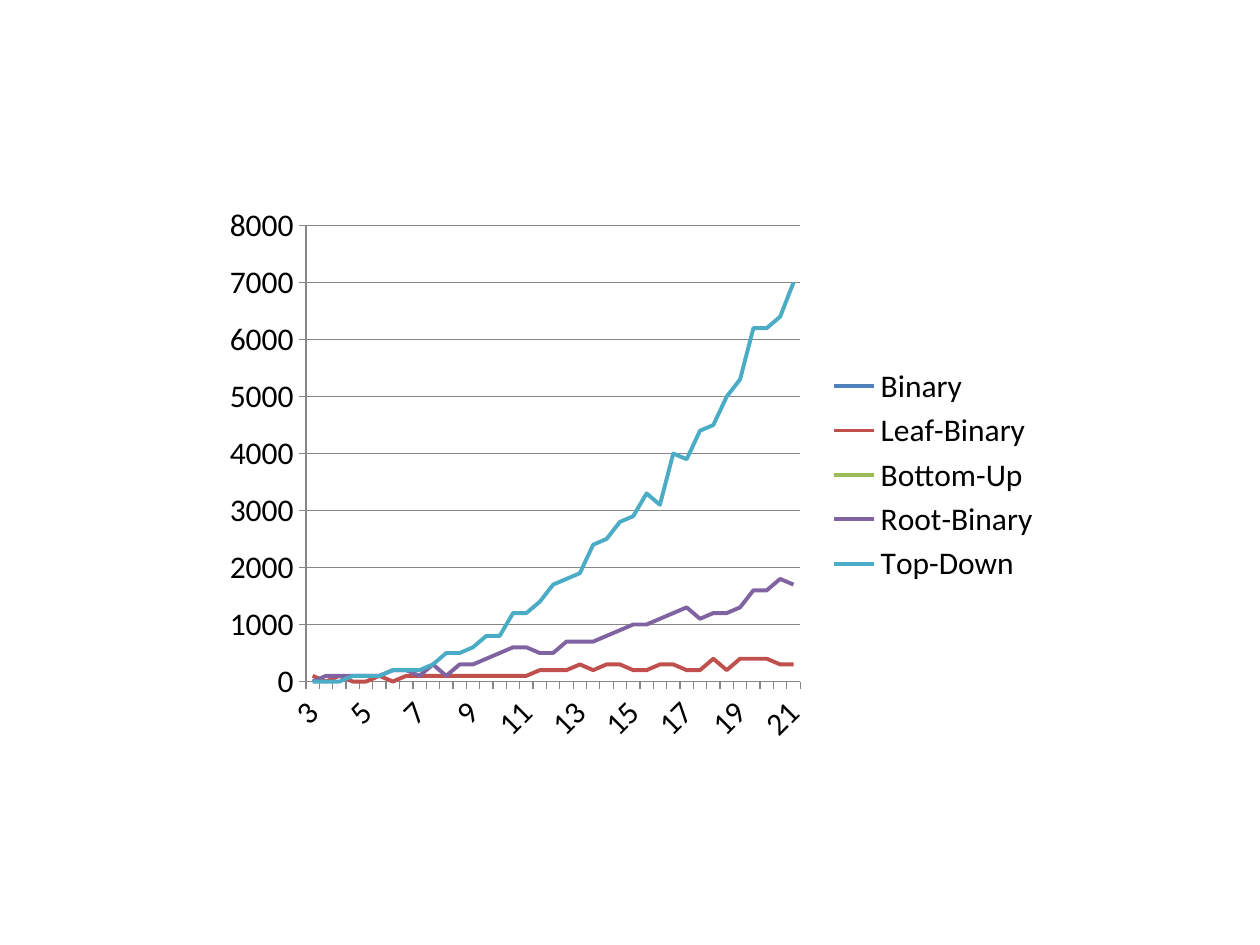
from pptx import Presentation
from pptx.chart.data import CategoryChartData
from pptx.dml.color import RGBColor
from pptx.enum.chart import XL_CHART_TYPE, XL_LEGEND_POSITION, XL_MARKER_STYLE, XL_TICK_MARK
from pptx.oxml import parse_xml
from pptx.oxml.ns import nsdecls
from pptx.util import Inches, Pt

LINE_CHART = XL_CHART_TYPE.LINE
LEGEND_RIGHT = XL_LEGEND_POSITION.RIGHT
NO_MARKER = XL_MARKER_STYLE.NONE
TICK_OUTSIDE = XL_TICK_MARK.OUTSIDE
TICK_NONE = XL_TICK_MARK.NONE

BLACK = RGBColor(0x00, 0x00, 0x00)
GRAY = RGBColor(0x87, 0x87, 0x87)
BLUE = RGBColor(0x4F, 0x81, 0xBD)
RED = RGBColor(0xC0, 0x50, 0x4D)
GREEN = RGBColor(0x9B, 0xBB, 0x59)
PURPLE = RGBColor(0x80, 0x64, 0xA2)
TEAL = RGBColor(0x4B, 0xAC, 0xC6)

CATEGORIES = [f"{half / 2:g}" for half in range(6, 43)]
LABEL_STEP = 4
SERIES = [
    ("Binary", BLUE, [0]),
    ("Leaf-Binary", RED, [
        100, 0, 100, 0, 0, 100, 0, 100, 100, 100, 100, 100, 100, 100, 100, 100, 100, 200, 200,
        200, 300, 200, 300, 300, 200, 200, 300, 300, 200, 200, 400, 200, 400, 400, 400, 300, 300]),
    ("Bottom-Up", GREEN, [0]),
    ("Root-Binary", PURPLE, [
        0, 100, 100, 100, 100, 100, 200, 200, 100, 300, 100, 300, 300, 400, 500, 600, 600, 500,
        500, 700, 700, 700, 800, 900, 1000, 1000, 1100, 1200, 1300, 1100, 1200, 1200, 1300, 1600,
        1600, 1800, 1700]),
    ("Top-Down", TEAL, [
        0, 0, 0, 100, 100, 100, 200, 200, 200, 300, 500, 500, 600, 800, 800, 1200, 1200, 1400,
        1700, 1800, 1900, 2400, 2500, 2800, 2900, 3300, 3100, 4000, 3900, 4400, 4500, 5000,
        5300, 6200, 6200, 6400, 7000]),
]


def style_line(line, color, width):
    line.color.rgb = color
    line.width = Pt(width)


def style_axes(chart):
    for axis in (chart.category_axis, chart.value_axis):
        axis.major_tick_mark = TICK_OUTSIDE
        axis.minor_tick_mark = TICK_NONE
        style_line(axis.format.line, GRAY, 0.75)
    value_axis = chart.value_axis
    value_axis.minimum_scale = 0
    value_axis.maximum_scale = 8000
    value_axis.major_unit = 1000
    value_axis.has_major_gridlines = True
    style_line(value_axis.major_gridlines.format.line, GRAY, 0.75)
    label_skip = parse_xml(f'<c:tickLblSkip {nsdecls("c")} val="{LABEL_STEP}"/>')
    chart.category_axis._element.find("{*}noMultiLvlLbl").addprevious(label_skip)
    chart.category_axis.tick_labels.font.size = Pt(18)
    chart.category_axis._element.find("{*}txPr/{*}bodyPr").set("rot", "-2700000")


def add_line_chart(page, left, top, width, height):
    data = CategoryChartData()
    data.categories = CATEGORIES
    for name, _, values in SERIES:
        data.add_series(name, values + [None] * (len(CATEGORIES) - len(values)))
    chart = page.shapes.add_chart(LINE_CHART, left, top, width, height, data).chart
    chart.has_title = False
    chart.font.name = "Calibri"
    chart.font.size = Pt(18)
    chart.font.color.rgb = BLACK
    chart.has_legend = True
    chart.legend.position = LEGEND_RIGHT
    chart.legend.include_in_layout = False
    chart.plots[0].vary_by_categories = False
    for series, (_, color, _) in zip(chart.plots[0].series, SERIES):
        series.smooth = False
        series.marker.style = NO_MARKER
        style_line(series.format.line, color, 2.25)
    style_axes(chart)


deck = Presentation()
deck.slide_width = Inches(10)
deck.slide_height = Inches(7.5)
page = deck.slides.add_slide(deck.slide_layouts[6])
add_line_chart(page, Inches(1.69), Inches(1.55), Inches(6.67), Inches(4.44))
deck.save("out.pptx")
